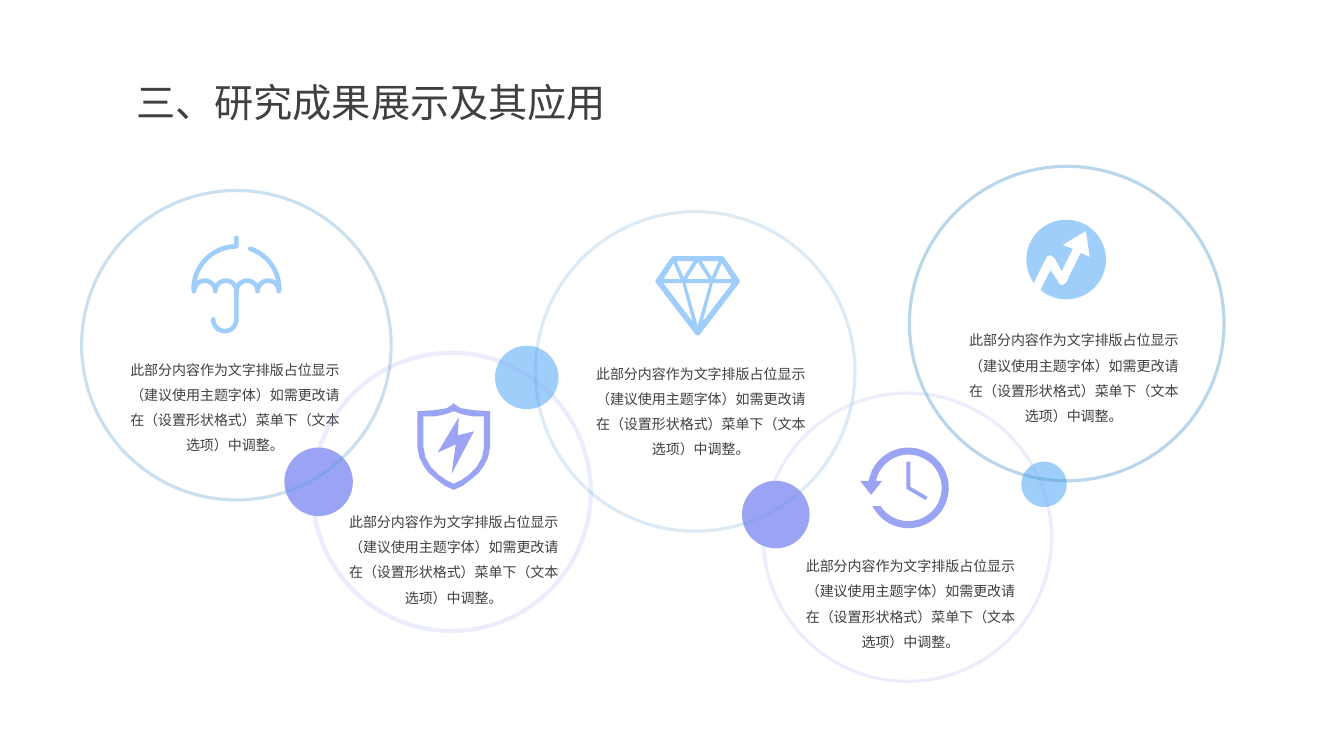
import math

from lxml import etree
from pptx import Presentation
from pptx import util as u
from pptx.dml.color import RGBColor
from pptx.enum import shapes, text
from pptx.oxml import ns

TITLE = "三、研究成果展示及其应用"
NOTE = ("此部分内容作为文字排版占位显示（建议使用主题字体）"
        "如需更改请在（设置形状格式）菜单下（文本选项）中调整。")
SKY, VIOLET, STEEL = "9FCEFA", "9BA4F4", "529ACD"


def color(hex_code):
    return RGBColor.from_string(hex_code)


class SlideBuilder:
    """Holds the style, the slide and the shape collection being filled."""

    font_name = "Noto Sans CJK SC"
    ink = "404040"

    def __init__(self, slide):
        self.slide = slide
        self.shapes = slide.shapes

    def group(self):
        self.shapes = self.slide.shapes.add_group_shape().shapes

    def place(self, shape, left, top, width, height):
        shape.left, shape.top = u.Inches(left), u.Inches(top)
        shape.width, shape.height = u.Inches(width), u.Inches(height)

    def add_text(self, paragraph, content, size):
        run = paragraph.add_run()
        run.text = content
        run.font.size = u.Pt(size)
        run.font.name = self.font_name
        run.font.color.rgb = color(self.ink)
        east_asian = etree.SubElement(run.font._element, ns.qn("a:ea"))
        east_asian.set("typeface", self.font_name)

    def title(self, content, left, top, width, height):
        shape = self.slide.shapes.title
        self.place(shape, left, top, width, height)
        shape.text_frame.word_wrap = False
        shape.text_frame.auto_size = text.MSO_AUTO_SIZE.NONE
        paragraph = shape.text_frame.paragraphs[0]
        paragraph.alignment = text.PP_ALIGN.LEFT
        self.add_text(paragraph, content, 28)

    def note(self, content, left, top):
        box = self.shapes.add_textbox(
            u.Inches(left), u.Inches(top), u.Inches(2.36), u.Inches(1.08))
        box.text_frame.word_wrap = True
        paragraph = box.text_frame.paragraphs[0]
        paragraph.alignment = text.PP_ALIGN.CENTER
        paragraph.line_spacing = 1.5
        self.add_text(paragraph, content, 10)

    def circle(self, left, top, size):
        shape = self.shapes.add_shape(
            shapes.MSO_SHAPE.OVAL, u.Inches(left), u.Inches(top),
            u.Inches(size), u.Inches(size))
        shape.shadow.inherit = False
        return shape

    def dot(self, left, top, size, fill):
        shape = self.circle(left, top, size)
        shape.fill.solid()
        shape.fill.fore_color.rgb = color(fill)
        shape.line.fill.background()

    def ring(self, left, top, size, line, weight, opacity):
        shape = self.circle(left, top, size)
        shape.fill.background()
        shape.line.width = u.Pt(weight)
        shape.line.color.rgb = color(line)
        tint = shape.line._ln.find(".//" + ns.qn("a:srgbClr"))
        etree.SubElement(tint, ns.qn("a:alpha")).set("val", str(opacity * 1000))

    def icon(self, contours, hue, stroke=None):
        """Filled outline with holes, or round-ended strokes of a given weight."""
        contours = [[(u.Inches(x), u.Inches(y)) for x, y in contour]
                    for contour in contours]
        builder = self.shapes.build_freeform(*contours[0][0])
        for number, contour in enumerate(contours):
            if number:
                builder.move_to(*contour[0])
            builder.add_line_segments(contour[1:], close=stroke is None)
        shape = builder.convert_to_shape()
        shape.shadow.inherit = False
        if stroke is None:
            shape.fill.solid()
            shape.fill.fore_color.rgb = color(hue)
            shape.line.fill.background()
        else:
            shape.fill.background()
            shape.line.width = u.Pt(stroke)
            shape.line.color.rgb = color(hue)
            shape.line._ln.set("cap", "rnd")


# Geometry: angles in degrees, clockwise from the right
def arc(x, y, radius, start, end):
    steps = max(8, int(abs(end - start) / 6))
    angles = [math.radians(start + (end - start) * i / steps)
              for i in range(steps + 1)]
    return [(x + radius * math.cos(a), y + radius * math.sin(a)) for a in angles]


def flip(points, axis):
    return [(2 * axis - x, y) for x, y in points]


def symmetric(half, axis):
    return half + flip(half[::-1], axis)


# Icons
def umbrella():
    x, y = 2.345, 2.87
    scallops = [point for i in range(4)
                for point in arc(2.03 + 0.21 * i, 2.89, 0.105, 180, 360)]
    handle = [(x, 2.89)] + arc(2.23, 3.17, 0.115, 0, 180)
    return [arc(x, y, 0.425, 180, 270) + [(x, 2.36)],
            arc(x, y, 0.425, 289, 360), scallops, handle]


def shield():
    outer = [(4.5, 4), (4.52, 4.02), (4.57, 4.05), (4.69, 4.07), (4.86, 4.08),
             (4.86, 4.44), (4.84, 4.54), (4.8, 4.62), (4.75, 4.69),
             (4.68, 4.75), (4.59, 4.82), (4.5, 4.86)]
    inner = [(4.5, 4.08), (4.58, 4.11), (4.68, 4.13), (4.8, 4.13), (4.8, 4.44),
             (4.78, 4.54), (4.73, 4.63), (4.65, 4.71), (4.58, 4.76), (4.5, 4.8)]
    bolt = [(4.55, 4.14), (4.34, 4.49), (4.52, 4.41), (4.48, 4.7),
            (4.7, 4.28), (4.54, 4.32)]
    return [symmetric(outer, 4.5), symmetric(inner, 4.5), bolt]


def diamond():
    axis = 6.92
    outer = [(axis, 3.33), (6.94, 3.32), (7.33, 2.81), (7.34, 2.79),
             (7.33, 2.77), (7.18, 2.55), (7.16, 2.54)]
    facets = [[(6.96, 2.59), (7.13, 2.59), (7.06, 2.75)],
              [(7.07, 2.81), (7.26, 2.81), (6.97, 3.19)],
              [(7.26, 2.77), (7.09, 2.77), (7.16, 2.61)]]
    return ([symmetric(outer, axis),
             [(7.04, 2.81), (axis, 3.23), (6.8, 2.81)],
             [(6.81, 2.77), (axis, 2.6), (7.03, 2.77)]]
            + facets + [flip(facet, axis) for facet in facets])


def clock():
    x, y = 9.01, 4.84
    arrow = [(8.75, 4.77), (8.64, 4.91), (8.53, 4.77)]
    hands = [(8.99, 4.58), (8.99, 4.85), (9.18, 4.96), (9.2, 4.93),
             (9.03, 4.83), (9.03, 4.58)]
    return [arc(x, y, 0.4, 190, 513) + arc(x, y, 0.33, 507, 192) + arrow, hands]


def growth():
    trend = [(10.42, 2.68), (10.48, 2.77), (10.51, 2.82), (10.54, 2.83),
             (10.58, 2.8), (10.6, 2.75), (10.65, 2.65), (10.72, 2.51),
             (10.81, 2.55), (10.77, 2.29), (10.54, 2.43), (10.64, 2.47),
             (10.53, 2.69), (10.46, 2.56), (10.42, 2.53), (10.39, 2.54),
             (10.35, 2.61), (10.3, 2.71)]
    return [arc(10.575, 2.575, 0.395, 144, 490) + trend]


def main():
    presentation = Presentation()
    presentation.slide_width = u.Inches(13.33)
    presentation.slide_height = u.Inches(7.5)
    builder = SlideBuilder(
        presentation.slides.add_slide(presentation.slide_layouts[5]))
    builder.title(TITLE, 1.25, 0.73, 4.88, 0.57)

    # Dots where the rings meet
    for dot in [(4.91, 3.43, 0.63, SKY), (10.13, 4.58, 0.45, SKY),
                (7.36, 4.77, 0.67, VIOLET), (2.82, 4.44, 0.68, VIOLET)]:
        builder.dot(*dot)

    # Rings, each with an icon and a note
    topics = [
        ((0.81, 1.89, 3.07, STEEL, 2.25, 30), (umbrella(), SKY, 3.3), (1.15, 3.45)),
        ((3.1, 3.5, 2.76, VIOLET, 3, 20), (shield(), VIOLET), (3.32, 4.96)),
        ((5.31, 2.1, 3.17, STEEL, 2.25, 20), (diamond(), SKY), (5.77, 3.49)),
        ((7.57, 3.9, 2.86, VIOLET, 2.25, 20), (clock(), VIOLET), (7.85, 5.4)),
        ((9.02, 1.65, 3.12, STEEL, 2.25, 40), (growth(), SKY), (9.47, 3.16)),
    ]
    for ring, icon, note_corner in topics:
        builder.group()
        builder.ring(*ring)
        builder.icon(*icon)
        builder.note(NOTE, *note_corner)

    presentation.save("out.pptx")


if __name__ == "__main__":
    main()
